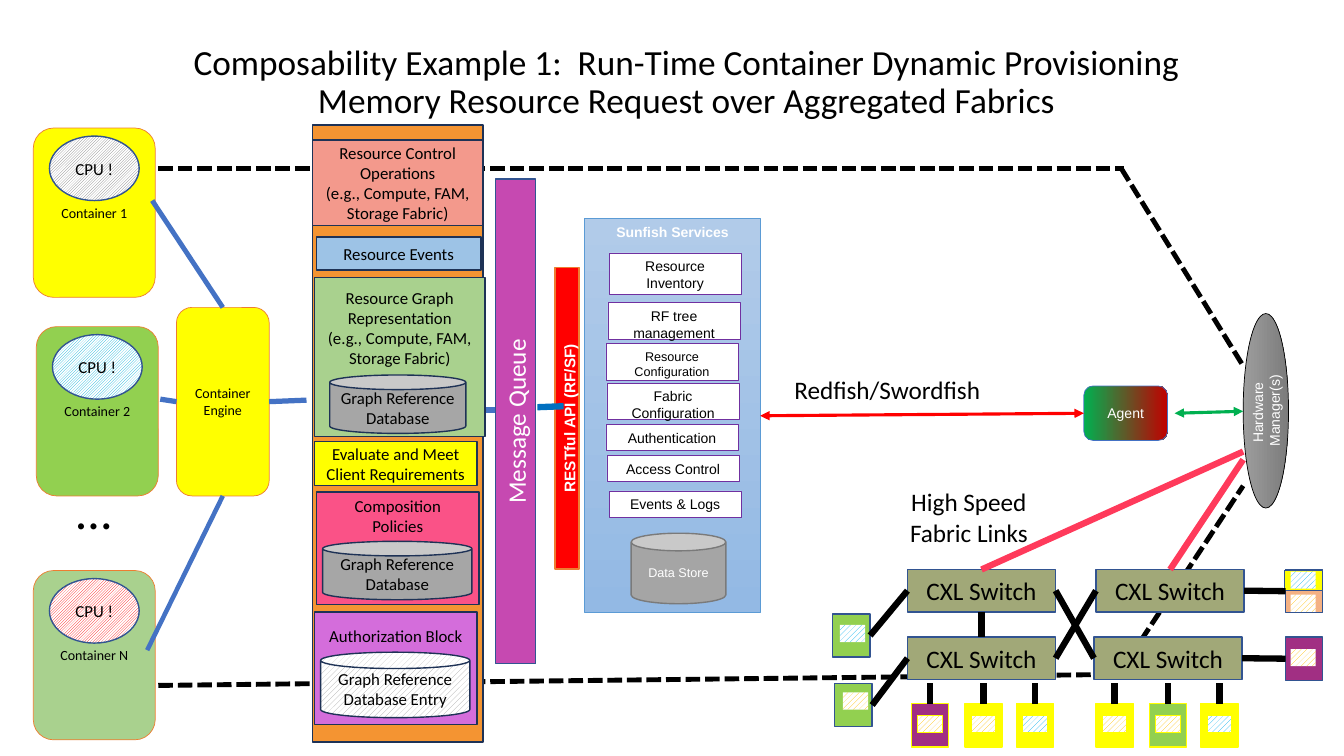
from collections import namedtuple
from dataclasses import dataclass

from lxml import etree
from pptx import Presentation
from pptx.dml.color import RGBColor
from pptx.enum.dml import MSO_LINE, MSO_PATTERN
from pptx.enum.shapes import MSO_CONNECTOR, MSO_SHAPE
from pptx.enum.text import MSO_ANCHOR, MSO_AUTO_SIZE, PP_ALIGN
from pptx.oxml.ns import qn
from pptx.util import Emu, Pt

PX = 9144  # EMU in one px, 100 px to the inch
RECT, ROUND = MSO_SHAPE.RECTANGLE, MSO_SHAPE.ROUNDED_RECTANGLE
OVAL, CAN = MSO_SHAPE.OVAL, MSO_SHAPE.CAN
LIGHT, WIDE = MSO_PATTERN.LIGHT_UPWARD_DIAGONAL, MSO_PATTERN.WIDE_UPWARD_DIAGONAL
STRAIGHT, DASH = MSO_CONNECTOR.STRAIGHT, MSO_LINE.SQUARE_DOT
CENTER, LEFT_ALIGN = PP_ALIGN.CENTER, PP_ALIGN.LEFT
MIDDLE, UPPER = MSO_ANCHOR.MIDDLE, MSO_ANCHOR.TOP
GROW = MSO_AUTO_SIZE.SHAPE_TO_FIT_TEXT
TOP, LEFT, BOTTOM, RIGHT = range(4)

Hatch = namedtuple("Hatch", "pattern color")
Gradient = namedtuple("Gradient", "first last angle")


@dataclass(frozen=True)
class Theme:
    body: str = "Calibri"
    service: str = "Arial"
    title: float = 25.2
    large: int = 18
    normal: int = 12
    api: int = 11
    small: int = 10
    tiny: int = 9
    ellipsis: int = 36
    black: str = "000000"
    white: str = "FFFFFF"
    yellow: str = "FFFF00"
    lime: str = "92D050"
    sage: str = "A9D18E"
    red: str = "FF0000"
    gray: str = "A6A6A6"
    can_gray: str = "A5A5A5"
    can_edge: str = "7A7A7A"
    orange_edge: str = "ED7D31"
    navy: str = "325491"
    dark_navy: str = "1E3256"
    blue: str = "4472C4"
    api_blue: str = "0070C0"
    panel_edge: str = "5B9BD5"
    purple_edge: str = "7030A0"
    magenta: str = "C649B1"
    plum: str = "A12F83"
    peach: str = "F4B183"
    olive: str = "A1A878"
    pink: str = "FF3A5B"
    arrow_green: str = "00B050"
    column: str = "F49432"
    control: str = "F3998C"
    events: str = "9DC3E6"
    policies: str = "FA5287"
    authorization: str = "D46DDB"
    amber_hatch: Hatch = Hatch(WIDE, "FFC000")
    blue_hatch: Hatch = Hatch(WIDE, "00B0F0")
    panel: Gradient = Gradient("B1CBE9", "93B9E4", 270)
    manager: Gradient = Gradient("9D9D9D", "7C7C7C", 270)
    agent: Gradient = Gradient("00B050", "C00000", 0)


THEME = Theme()


def set_all(target, formats):
    for name, value in formats.items():
        setattr(target, name, value)


def rgb(color):
    return RGBColor.from_string(color)


def emu(box):
    return [Emu(round(length * PX)) for length in box]


def paint(fill, look):
    if isinstance(look, Hatch):
        fill.patterned()
        fill.pattern = look.pattern
        fill.fore_color.rgb, fill.back_color.rgb = rgb(look.color), rgb(THEME.white)
    elif isinstance(look, Gradient):
        fill.gradient()
        fill.gradient_angle = look.angle
        for stop, color in zip(fill.gradient_stops, look[:2]):
            stop.color.rgb = rgb(color)
    else:
        fill.solid()
        fill.fore_color.rgb = rgb(look)


def write(shape, text, size, color=THEME.black, font=THEME.body, bold=False,
          align=CENTER, spacing=None, **frame_formats):
    frame = shape.text_frame
    set_all(frame, {"word_wrap": True, "vertical_anchor": MIDDLE, **frame_formats})
    frame.text = text
    for paragraph in frame.paragraphs:
        set_all(paragraph, {"alignment": align, "line_spacing": spacing})
        set_all(paragraph.font, {"name": font, "size": Pt(size), "bold": bold})
        paragraph.font.color.rgb = rgb(color)


def add_block(slide, kind, box, look, edge=None, weight=1, rotation=0):
    shape = slide.shapes.add_shape(kind, *emu(box))
    shape.shadow.inherit = False
    shape.rotation = rotation
    paint(shape.fill, look)
    if edge:
        paint(shape.line.fill, edge)
        shape.line.width = Pt(weight)
    else:
        shape.line.fill.background()
    return shape


def add_label(slide, box, text, size, **formats):
    write(slide.shapes.add_textbox(*emu(box)), text, size, **formats)


def add_link(slide, start, end, color, weight, dash=None, arrows=False):
    """Each end is an (x, y) point or a (shape, side) pair."""
    points = [(0, 0) if hasattr(end_[0], "shape_type") else end_ for end_ in (start, end)]
    line = slide.shapes.add_connector(STRAIGHT, *emu(points[0] + points[1]))
    for place, connect in ((start, line.begin_connect), (end, line.end_connect)):
        if hasattr(place[0], "shape_type"):
            connect(*place)
    paint(line.line.fill, color)
    set_all(line.line, {"width": Pt(weight), "dash_style": dash})
    properties = line._element.spPr
    if arrows:
        for tag in ("a:headEnd", "a:tailEnd"):
            etree.SubElement(properties.find(qn("a:ln")), qn(tag), type="triangle")
    etree.SubElement(properties, qn("a:effectLst"))


def add_containers(slide):
    engine = add_block(slide, ROUND, (175, 305, 92, 187), THEME.yellow, THEME.orange_edge, 0.5)
    write(engine, "Container Engine", THEME.small)
    for name, x, y, color, hatch in (("1", 33, 127, THEME.yellow, "7C7C7C"),
                                     ("2", 36, 324, THEME.lime, "00ADD9"),
                                     ("N", 33, 566, THEME.sage, THEME.red)):
        container = add_block(slide, ROUND, (x, y, 121, 168), color, THEME.orange_edge, 0.5)
        write(container, f"Container {name}", THEME.small)
        cpu = add_block(slide, OVAL, (x + 16, y + 8, 89, 64), Hatch(LIGHT, hatch), THEME.navy)
        write(cpu, "CPU !", THEME.normal)
    add_label(slide, (33, 470, 120, 71), "…", THEME.ellipsis,
              vertical_anchor=UPPER, auto_size=GROW)
    for start, side, weight in (((151, 199), TOP, 3.5), ((159, 396), LEFT, 3.75),
                                ((146, 645), BOTTOM, 3.25), ((304, 397), RIGHT, 3.75)):
        add_link(slide, start, (engine, side), THEME.blue, weight)


def add_services(slide):
    light = {"color": THEME.white, "font": THEME.service}
    panel = add_block(slide, RECT, (580, 217, 174, 391), THEME.panel, THEME.panel_edge, 0.5)
    write(panel, "Sunfish Services", THEME.small, bold=True, vertical_anchor=UPPER, **light)
    for text, x, y, height, size in (
            ("Resource Inventory", 604, 251, 41, THEME.small),
            ("RF tree management", 603, 300, 37, THEME.small),
            ("Resource Configuration", 601, 341, 36, THEME.tiny),
            ("Fabric Configuration", 602, 380, 36, THEME.small),
            ("Authentication", 601, 421, 26, THEME.small),
            ("Access Control", 602, 452, 26, THEME.small),
            ("Events & Logs", 604, 487, 26, THEME.small)):
        service = add_block(slide, RECT, (x, y, 131, height), THEME.white, THEME.purple_edge, 0.5)
        write(service, text, size, font=THEME.service, vertical_anchor=UPPER)
    store = add_block(slide, CAN, (626, 529, 94, 70), THEME.can_gray, THEME.can_edge)
    write(store, "Data Store", THEME.tiny, **light)
    api = add_block(slide, RECT, (413, 403, 299, 24), THEME.red, THEME.orange_edge, rotation=270)
    write(api, "RESTful API (RF/SF)", THEME.api, bold=True, vertical_anchor=UPPER, **light)
    # Agent and hardware managers
    manager = add_block(slide, OVAL, (1159, 385, 193, 45), THEME.manager, THEME.black, 0.5, 270)
    write(manager, "Hardware  Manager(s)", THEME.small, **light)
    agent = add_block(slide, ROUND, (1075, 383, 83, 54), THEME.agent, THEME.blue, 0.5)
    write(agent, "Agent", THEME.small, **light)
    add_link(slide, (panel, RIGHT), (agent, LEFT), THEME.red, 2.25, arrows=True)
    add_link(slide, (1165, 410), (1233, 408), THEME.arrow_green, 2.25, arrows=True)
    add_label(slide, (778, 366, 301, 40), "Redfish/Swordfish", THEME.large,
              align=LEFT_ALIGN, vertical_anchor=UPPER, auto_size=GROW)


def add_memory(slide, x, y, look, hatch, edge, chip_edge=None, dx=6, dy=12):
    node = add_block(slide, RECT, (x, y, 37, 43), look, edge)
    add_block(slide, RECT, (x + dx, y + dy, 25, 17), hatch, chip_edge)
    return node


def add_fabric(slide):
    # Dashed control paths
    for start, end in (((157, 167), (1115, 167)), ((1112, 167), (1233, 363)),
                       ((157, 680), (1115, 669)), ((1110, 668), (1233, 482))):
        add_link(slide, start, end, THEME.black, 3.5, DASH)
    # Switches
    switches = []
    for x, y in ((900, 565), (1087, 565), (900, 632), (1085, 632)):
        switch = add_block(slide, RECT, (x, y, 147, 42), THEME.olive, THEME.navy)
        write(switch, "CXL Switch", THEME.large)
        switches.append(switch)
    upper_left, upper_right, lower_left, lower_right = switches
    # Memory nodes beside and below the switches
    amber, blue = THEME.amber_hatch, THEME.blue_hatch
    west_upper = add_memory(slide, 826, 609, THEME.lime, blue, THEME.navy, dx=7, dy=11)
    west_lower = add_memory(slide, 828, 678, THEME.lime, amber, THEME.navy, dx=8, dy=9)
    east_upper = add_memory(slide, 1275, 565, THEME.peach, amber, THEME.navy, dx=5, dy=25)
    east_lower = add_memory(slide, 1275, 632, THEME.plum, amber, THEME.navy, dx=5)
    add_block(slide, RECT, (1274, 566, 38, 20), THEME.yellow, THEME.navy)
    add_block(slide, RECT, (1280, 567, 25, 17), blue)
    for x, look, hatch in ((904, THEME.plum, amber), (957, THEME.yellow, amber),
                           (1008, THEME.yellow, blue), (1087, THEME.yellow, amber),
                           (1140, THEME.lime, amber), (1191, THEME.yellow, blue)):
        node = add_memory(slide, x, 698, look, hatch, THEME.yellow, THEME.yellow)
        add_link(slide, (x + 18.5, 678), (node, TOP), THEME.black, 4.5)
    # Fabric links
    for start, end in (((upper_left, BOTTOM), (lower_left, TOP)),
                       ((lower_right, RIGHT), (east_lower, LEFT)),
                       ((upper_right, RIGHT), (east_upper, LEFT)),
                       ((west_upper, RIGHT), (upper_left, LEFT)),
                       ((west_lower, RIGHT), (lower_left, LEFT)),
                       ((upper_left, RIGHT), (lower_right, LEFT)),
                       ((upper_right, LEFT), (lower_left, RIGHT))):
        add_link(slide, start, end, THEME.black, 4.5)
    add_link(slide, (1233, 448), (upper_left, TOP), THEME.pink, 4.5)
    add_link(slide, (1233, 456), (upper_right, TOP), THEME.pink, 4.5)
    add_label(slide, (874, 478, 174, 71), "High Speed Fabric Links", THEME.large,
              vertical_anchor=UPPER, auto_size=GROW)


def add_composition(slide):
    # Message queue
    add_link(slide, (458, 407), (493, 407), THEME.blue, 4.5)
    queue = add_block(slide, RECT, (271, 398, 481, 40), THEME.magenta, THEME.navy, rotation=270)
    write(queue, "Message Queue", THEME.large, color=THEME.white)
    add_link(slide, (533, 404), (559, 403), THEME.api_blue, 4.5)
    # Composition column
    add_block(slide, RECT, (310, 124, 169, 612), THEME.column, THEME.dark_navy)
    scope = "(e.g., Compute, FAM, Storage Fabric)"
    database = "Graph Reference Database"
    for kind, box, look, text, top in (
            (RECT, (310, 139, 169, 85), THEME.control, f"Resource Control Operations\n{scope}", None),
            (RECT, (314, 235, 163, 33), THEME.events, "Resource Events", None),
            (RECT, (314, 488, 161, 112), THEME.policies, "Composition\nPolicies", 4),
            (RECT, (312, 275, 169, 158), THEME.sage, f"Resource Graph Representation\n{scope}", 10),
            (CAN, (327, 372, 135, 58), THEME.gray, database, None),
            (CAN, (320, 537, 148, 58), THEME.gray, database, None),
            (RECT, (312, 607, 161, 112), THEME.authorization, "Authorization Block", 14),
            (CAN, (318, 647, 148, 65), Hatch(WIDE, THEME.gray), f"{database} Entry", None),
            (RECT, (312, 438, 161, 44), THEME.yellow, "Evaluate and Meet Client Requirements", None)):
        block = add_block(slide, kind, box, look, THEME.dark_navy)
        upper = {"vertical_anchor": UPPER, "margin_top": Emu(top * PX)} if top else {}
        write(block, text, THEME.normal, **upper)


def main():
    presentation = Presentation()
    set_all(presentation, {"slide_width": Emu(1333 * PX), "slide_height": Emu(750 * PX)})
    slide = presentation.slides.add_slide(presentation.slide_layouts[6])
    add_label(slide, (37, 39, 1288, 87),
              "Composability Example 1:  Run-Time Container Dynamic Provisioning\v"
              "Memory Resource Request over Aggregated Fabrics", THEME.title, spacing=0.9)
    add_containers(slide)
    add_services(slide)
    add_fabric(slide)
    add_composition(slide)
    presentation.save("out.pptx")


if __name__ == "__main__":
    main()
